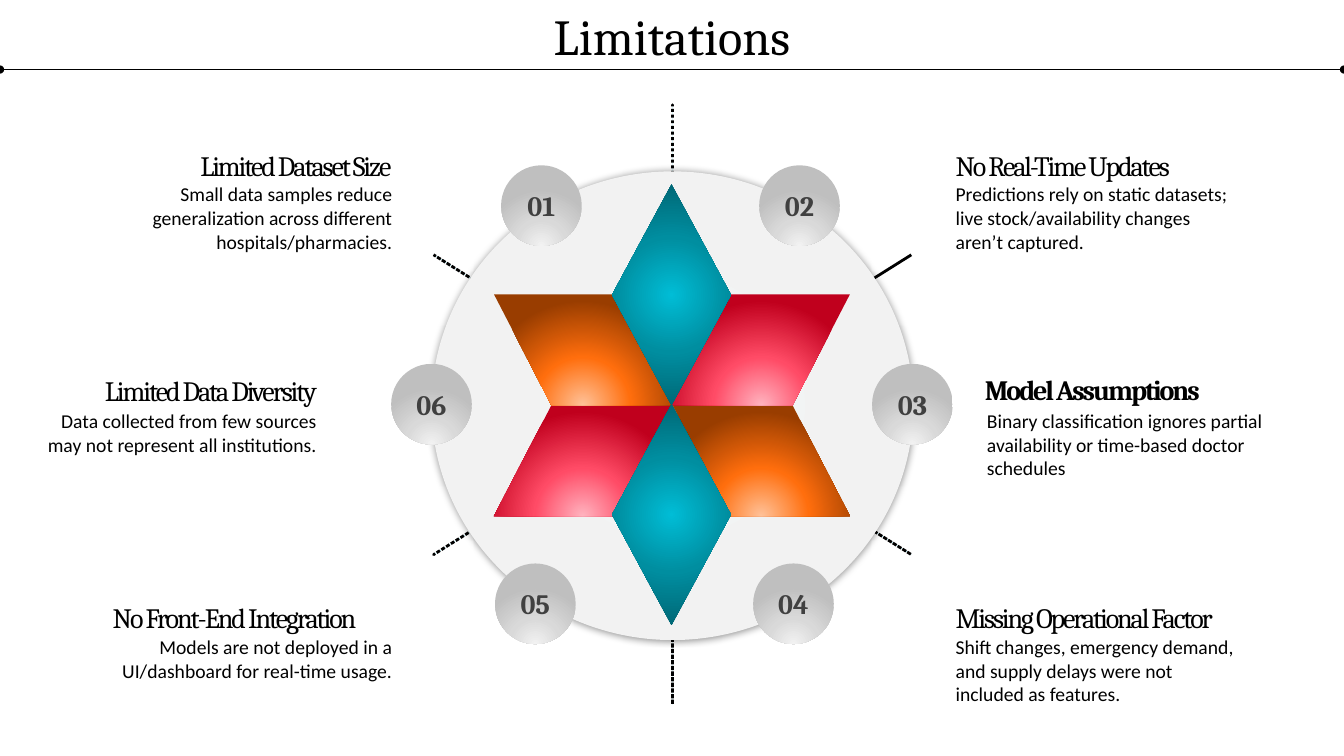
"""Build the Limitations slide: a six-part star wheel with numbered notes."""
from dataclasses import dataclass

import pptx
import pptx.dml.color
import pptx.enum.dml
import pptx.enum.shapes
import pptx.enum.text
import pptx.oxml
import pptx.oxml.ns
import pptx.util

Inches = pptx.util.Inches
Pt = pptx.util.Pt
SHAPE = pptx.enum.shapes.MSO_SHAPE
ALIGN = pptx.enum.text.PP_ALIGN
LEFT, CENTER, RIGHT = ALIGN.LEFT, ALIGN.CENTER, ALIGN.RIGHT

HEADING_FONT, BODY_FONT = "Cambria", "Calibri"
BLACK, BADGE_TEXT = "000000", "404040"
SLIDE_WIDTH = 13.33
MIDDLE = (50, 50, 50, 50)
BELOW = (50, 130, 50, -30)
BADGE_SIZE = 0.8
PETAL_WIDTH, PETAL_HEIGHT = 1.76, 1.1
DIAMOND_WIDTH, DIAMOND_HEIGHT = 1.18, 2.19


@dataclass(frozen=True)
class Glow:
    colors: tuple[str, str, str]
    focus: tuple[int, int, int, int]


@dataclass(frozen=True)
class Petal:
    left: float
    top: float
    glow: Glow
    flips: tuple[str, ...]


@dataclass(frozen=True)
class Style:
    size: int
    font: str
    color: str = BLACK
    bold: bool = False
    spacing: float = 0


@dataclass(frozen=True)
class Limitation:
    number: str
    badge: tuple[float, float]
    heading: str
    heading_at: tuple[float, float, float]
    heading_align: ALIGN
    detail: str
    detail_at: tuple[float, float, float]
    detail_align: ALIGN
    bold: bool = False


WHEEL = Glow(("F0FDFF", "F2F2F2", "F2F2F2"), MIDDLE)
TEAL = Glow(("00BDD6", "008EA0", "005E6B"), MIDDLE)
RED = Glow(("FFB3BF", "FF4B66", "C0001D"), BELOW)
ORANGE = Glow(("FFC299", "FF6E0D", "993D00"), BELOW)
SILVER = Glow(("F2F2F2", "D9D9D9", "BFBFBF"), BELOW)

PETALS = (
    Petal(4.9, 4.02, RED, ("flipH", "flipV")),
    Petal(6.67, 4.02, ORANGE, ("flipV",)),
    Petal(6.67, 2.92, RED, ()),
    Petal(4.9, 2.92, ORANGE, ("flipH",)),
)

LIMITATIONS = (
    Limitation("01", (4.97, 1.64), "Limited Dataset Size", (1.2, 1.42, 2.78), RIGHT,
               "Small data samples reduce generalization across different hospitals/pharmacies.",
               (1.02, 1.76, 0.81), RIGHT),
    Limitation("02", (7.53, 1.64), "No Real-Time Updates", (9.38, 1.42, 2.78), LEFT,
               "Predictions rely on static datasets; live stock/availability changes aren’t captured.",
               (9.38, 1.76, 0.81), LEFT),
    Limitation("03", (8.65, 3.61), "Model Assumptions", (9.67, 3.65, 2.97), LEFT,
               "Binary classification ignores partial availability or time-based doctor schedules",
               (9.69, 4.01, 0.81), LEFT, bold=True),
    Limitation("04", (7.47, 5.59), "Missing Operational Factor", (9.38, 5.91, 2.97), LEFT,
               "Shift changes, emergency demand, and supply delays were not included as features.",
               (9.38, 6.25, 0.81), LEFT),
    Limitation("05", (4.91, 5.59), "No Front-End Integration", (1.02, 5.91, 2.97), LEFT,
               "Models are not deployed in a UI/dashboard for real-time usage.",
               (1.02, 6.25, 0.57), RIGHT),
    Limitation("06", (3.88, 3.61), "Limited Data Diversity", (0.46, 3.66, 2.78), RIGHT,
               "Data collected from few sources may not represent all institutions.",
               (0.27, 4.01, 0.81), RIGHT),
)


def rgb(color: str) -> pptx.dml.color.RGBColor:
    return pptx.dml.color.RGBColor.from_string(color)


def element(xml: str):
    tag, rest = xml.split(" ", 1)
    return pptx.oxml.parse_xml(f"{tag} {pptx.oxml.ns.nsdecls('a')} {rest}")


def add_plain(page, kind: SHAPE, left: float, top: float, width: float, height: float):
    shape = page.shapes.add_shape(kind, Inches(left), Inches(top), Inches(width), Inches(height))
    shape.shadow.inherit = False
    shape.line.fill.background()
    return shape


def add_glowing(page, kind: SHAPE, left: float, top: float, width: float, height: float, glow: Glow):
    shape = add_plain(page, kind, left, top, width, height)
    shape.fill.background()
    stops = "".join(f'<a:gs pos="{place * 1000}"><a:srgbClr val="{color}"/></a:gs>'
                    for place, color in zip((0, 46, 100), glow.colors))
    edges = " ".join(f'{side}="{value * 1000}"' for side, value in zip("ltrb", glow.focus))
    blank = shape._element.spPr.find(pptx.oxml.ns.qn("a:noFill"))
    blank.getparent().replace(blank, element(
        f'<a:gradFill rotWithShape="1"><a:gsLst>{stops}</a:gsLst>'
        f'<a:path path="circle"><a:fillToRect {edges}/></a:path></a:gradFill>'))
    return shape


def write(frame, text: str, align: ALIGN, style: Style) -> None:
    frame.word_wrap = True
    para = frame.paragraphs[0]
    para.alignment = align
    span = para.add_run()
    span.text = text
    span.font.size = Pt(style.size)
    span.font.name = style.font
    span.font.bold = style.bold
    span.font.color.rgb = rgb(style.color)
    if style.spacing:
        span.font._element.set("spc", str(round(style.spacing * 100)))


def add_text(shapes, left: float, top: float, width: float, height: float,
             text: str, align: ALIGN, style: Style) -> None:
    box = shapes.add_textbox(Inches(left), Inches(top), Inches(width), Inches(height))
    box.text_frame.auto_size = pptx.enum.text.MSO_AUTO_SIZE.SHAPE_TO_FIT_TEXT
    write(box.text_frame, text, align, style)


def add_wheel(page) -> None:
    spokes = add_plain(page, SHAPE.STAR_6_POINT, 4.3, 1.04, 4.74, 5.95)
    spokes.adjustments[0] = 0
    spokes.fill.solid()
    spokes.fill.fore_color.rgb = rgb("00BDD6")
    spokes.line.color.rgb = rgb(BLACK)
    spokes.line.width = Pt(2)
    spokes.line.dash_style = pptx.enum.dml.MSO_LINE.ROUND_DOT

    wheel = add_glowing(page, SHAPE.OVAL, 4.28, 1.7, 4.78, 4.65, WHEEL)
    wheel._element.spPr.find(pptx.oxml.ns.qn("a:effectLst")).append(element(
        f'<a:outerShdw blurRad="{Pt(5)}" dist="0" dir="0" algn="ctr" rotWithShape="0">'
        f'<a:srgbClr val="{BLACK}"><a:alpha val="40000"/></a:srgbClr></a:outerShdw>'))


def add_petal(page, petal: Petal) -> None:
    shape = add_glowing(page, SHAPE.PARALLELOGRAM, petal.left, petal.top,
                        PETAL_WIDTH, PETAL_HEIGHT, petal.glow)
    shape.adjustments[0] = 0.518
    for flip in petal.flips:
        shape._element.spPr.xfrm.set(flip, "1")


def add_badge(page, item: Limitation) -> None:
    badge = add_glowing(page, SHAPE.OVAL, *item.badge, BADGE_SIZE, BADGE_SIZE, SILVER)
    badge.text_frame.vertical_anchor = pptx.enum.text.MSO_ANCHOR.MIDDLE
    write(badge.text_frame, item.number, CENTER, Style(20, HEADING_FONT, BADGE_TEXT, bold=True))


def add_note(page, item: Limitation) -> None:
    shapes = page.shapes.add_group_shape().shapes
    add_text(shapes, *item.heading_at, 0.44, item.heading, item.heading_align,
             Style(20, HEADING_FONT, bold=item.bold, spacing=-1.5))
    left, top, height = item.detail_at
    add_text(shapes, left, top, 2.97, height, item.detail, item.detail_align, Style(14, BODY_FONT))


def add_title(page) -> None:
    add_text(page.shapes, 0, 0, SLIDE_WIDTH, 0.71, "Limitations", CENTER, Style(36, HEADING_FONT))
    rule = page.shapes.add_connector(pptx.enum.shapes.MSO_CONNECTOR.STRAIGHT,
                                     Inches(0), Inches(0.69), Inches(SLIDE_WIDTH), Inches(0.69))
    rule.line.color.rgb = rgb(BLACK)
    rule.line.width = Pt(0.5)
    for end in ("headEnd", "tailEnd"):
        rule.line._get_or_add_ln().append(element(f'<a:{end} type="oval"/>'))
    rule._element.spPr.append(element("<a:effectLst />"))


def main() -> None:
    deck = pptx.Presentation()
    deck.slide_width, deck.slide_height = Inches(SLIDE_WIDTH), Inches(7.5)
    page = deck.slides.add_slide(deck.slide_layouts[6])
    add_wheel(page)
    for petal in PETALS:
        add_petal(page, petal)
    for top in (1.83, 4.01):
        add_glowing(page, SHAPE.DIAMOND, 6.07, top, DIAMOND_WIDTH, DIAMOND_HEIGHT, TEAL)
    for item in LIMITATIONS:
        add_badge(page, item)
        add_note(page, item)
    add_title(page)
    deck.save("out.pptx")


if __name__ == "__main__":
    main()
